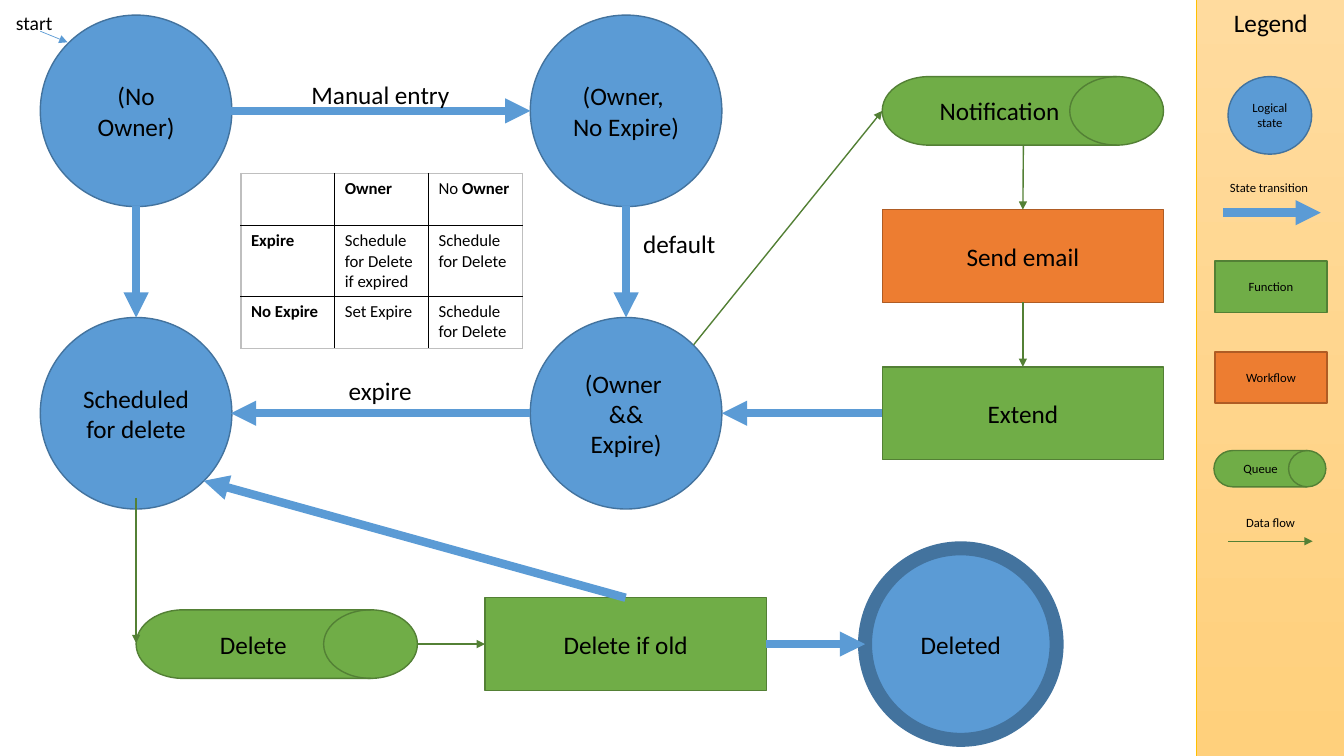
from lxml.etree import SubElement
from pptx import Presentation
from pptx.dml.color import RGBColor
from pptx.enum.shapes import MSO_CONNECTOR, MSO_SHAPE as SHAPE
from pptx.enum.text import MSO_ANCHOR as ANCHOR, MSO_AUTO_SIZE as AUTO_SIZE, PP_ALIGN as ALIGN
from pptx.oxml.ns import qn
from pptx.util import Emu, Pt

PX = 9144  # 100 px to the inch
COLORS = {
    "black": "000000", "grid": "BFBFBF", "blue": "5B9BD5", "blue_edge": "43739E",
    "green": "70AD47", "green_edge": "538035", "orange": "ED7D31", "orange_edge": "AF5C24",
    "panel_top": "FFDB9E", "panel_bottom": "FFD07C", "panel_edge": "FFC000",
}
# Kind of node: preset shape, colour
KINDS = {
    "state": (SHAPE.OVAL, "blue"),
    "function": (SHAPE.RECTANGLE, "green"),
    "workflow": (SHAPE.RECTANGLE, "orange"),
    "queue": (SHAPE.FLOWCHART_DIRECT_ACCESS_STORAGE, "green"),
}
# Kind of link: colour, width in points
LINKS = {"transition": ("blue", 6), "data": ("green_edge", 1), "start": ("blue", 0.5)}
TOP, LEFT, BOTTOM, RIGHT = range(4)
DIAMETER, BLOCK_W, BLOCK_H, QUEUE_H = 190, 279, 92, 68


def px(*lengths):
    return [Emu(length * PX) for length in lengths]


def color(name):
    return RGBColor.from_string(COLORS[name])


def style_span(span, size, bold=False):
    span.font.name = "Calibri"
    span.font.size = Pt(size)
    span.font.bold = bold
    span.font.color.rgb = color("black")


def add_node(page, kind, text, x, y, width, height, size=18, edge=1):
    preset, fill = KINDS[kind]
    node = page.shapes.add_shape(preset, *px(x, y, width, height))
    node.shadow.inherit = False
    node.fill.solid()
    node.fill.fore_color.rgb = color(fill)
    node.line.color.rgb = color(fill + "_edge")
    node.line.width = Pt(edge)
    frame = node.text_frame
    frame.text = text
    frame.word_wrap = True
    frame.vertical_anchor = ANCHOR.MIDDLE
    para = frame.paragraphs[0]
    para.alignment = ALIGN.CENTER
    for span in para.runs:
        style_span(span, size)
    return node


def add_label(page, text, x, y, width, height, size=18):
    box = page.shapes.add_textbox(*px(x, y, width, height))
    frame = box.text_frame
    frame.text = text
    frame.word_wrap = False
    frame.auto_size = AUTO_SIZE.SHAPE_TO_FIT_TEXT
    style_span(frame.paragraphs[0].runs[0], size)


def add_link(page, kind, x1, y1, x2, y2, begin=None, end=None):
    """Arrow between two points; begin and end are optional (block, side) joints."""
    name, width = LINKS[kind]
    link = page.shapes.add_connector(MSO_CONNECTOR.STRAIGHT, *px(x1, y1, x2, y2))
    if begin:
        link.begin_connect(*begin)
    if end:
        link.end_connect(*end)
    link.line.color.rgb = color(name)
    link.line.width = Pt(width)
    SubElement(link.line._get_or_add_ln(), qn("a:tailEnd"), type="triangle")
    SubElement(link._element.spPr, qn("a:effectLst"))


def add_border(cell, side, name):
    border = SubElement(cell._tc.get_or_add_tcPr(), qn("a:ln" + side), w=str(Pt(1)))
    fill = SubElement(border, qn("a:solidFill"))
    SubElement(fill, qn("a:srgbClr"), val=COLORS[name])


def add_rules_table(page, x, y, column_width, row_heights, rows):
    """Each cell is a list of (text, bold) pairs."""
    last_row, last_column = len(rows) - 1, len(rows[0]) - 1
    frame = page.shapes.add_table(last_row + 1, last_column + 1, *px(
        x, y, column_width * (last_column + 1), sum(row_heights)))
    table = frame.table
    table.first_row = table.horz_banding = False
    for column in table.columns:
        column.width = Emu(column_width * PX)
    for r, (row, height) in enumerate(zip(rows, row_heights)):
        table.rows[r].height = Emu(height * PX)
        for c, parts in enumerate(row):
            cell = table.cell(r, c)
            para = cell.text_frame.paragraphs[0]
            para.font.size = Pt(12)
            for text, bold in parts:
                span = para.add_run()
                span.text = text
                style_span(span, 12, bold)
            outer = {"L": c == 0, "R": c == last_column, "T": r == 0, "B": r == last_row}
            for side, is_outer in outer.items():
                add_border(cell, side, "grid" if is_outer else "black")
            cell.fill.background()


def add_legend(page):
    panel = page.shapes.add_shape(SHAPE.RECTANGLE, *px(1187, -1, 146, 751))
    panel.shadow.inherit = False
    panel.fill.gradient()
    panel.fill.gradient_angle = 270
    for stop, name, position in zip(panel.fill.gradient_stops, ("panel_top", "panel_bottom"), (0, 1)):
        stop.color.rgb = color(name)
        stop.position = position
    panel.line.color.rgb = color("panel_edge")
    panel.line.width = Pt(0.5)

    add_label(page, "Legend", 1214, 2, 94, 40)
    add_node(page, "state", "Logical state", 1218, 76, 83, 77, size=9)
    add_label(page, "State transition", 1210, 174, 99, 25, size=9)
    add_link(page, "transition", 1213, 211, 1310, 211)
    add_node(page, "function", "Function", 1205, 259, 111, 51, size=9)
    add_node(page, "workflow", "Workflow", 1205, 349, 111, 51, size=9)
    add_node(page, "queue", "Queue", 1204, 447, 111, 36, size=9)
    add_label(page, "Data flow", 1226, 506, 69, 25, size=9)
    add_link(page, "data", 1218, 537, 1302, 537)


def main():
    deck = Presentation()
    deck.slide_width, deck.slide_height = px(1333, 750)
    page = deck.slides.add_slide(deck.slide_layouts[6])

    # Logical states
    for text, x, y, edge in [
        ("(No Owner)", 40, 15, 1),
        ("Scheduled for delete", 40, 315, 1),
        ("(Owner, \vNo Expire)", 526, 15, 1),
        ("(Owner \v&&\vExpire)", 526, 315, 1),
        ("Deleted", 858, 544, 10),
    ]:
        add_node(page, "state", text, x, y, DIAMETER, DIAMETER, edge=edge)

    # Queues, functions and workflow
    add_node(page, "queue", "Notification", 875, 76, BLOCK_W, QUEUE_H)
    add_node(page, "queue", "Delete", 135, 605, BLOCK_W, QUEUE_H)
    send = add_node(page, "workflow", "Send email", 875, 208, BLOCK_W, BLOCK_H)
    extend = add_node(page, "function", "Extend", 875, 364, BLOCK_W, BLOCK_H)
    delete_old = add_node(page, "function", "Delete if old", 481, 593, BLOCK_W, BLOCK_H)

    # State transitions
    add_link(page, "transition", 135, 204, 135, 315)
    add_link(page, "transition", 229, 110, 526, 110)
    add_link(page, "transition", 621, 204, 621, 315)
    add_link(page, "transition", 526, 410, 229, 410)
    add_link(page, "transition", 875, 410, 716, 410, begin=(extend, LEFT))
    add_link(page, "transition", 621, 593, 202, 477, begin=(delete_old, TOP))
    add_link(page, "transition", 760, 639, 858, 639, begin=(delete_old, RIGHT))
    add_link(page, "start", 40, 31, 67, 42)

    # Data flow
    add_link(page, "data", 688, 342, 875, 110)
    add_link(page, "data", 1015, 144, 1015, 208, end=(send, TOP))
    add_link(page, "data", 1015, 300, 1015, 364, begin=(send, BOTTOM), end=(extend, TOP))
    add_link(page, "data", 135, 494, 135, 638)
    add_link(page, "data", 414, 639, 481, 639, end=(delete_old, LEFT))

    # Link labels
    add_label(page, "Manual entry", 299, 74, 159, 40)
    add_label(page, "expire", 336, 367, 83, 40)
    add_label(page, "default", 628, 222, 93, 40)
    add_label(page, "start", 6, 6, 57, 34, size=14)

    # Rules by owner and expiry
    schedule = [("Schedule for Delete", False)]
    add_rules_table(page, 239, 172, 93, [52, 62, 52], [
        [[], [("Owner", True)], [("No ", False), ("Owner", True)]],
        [[("Expire", True)], [("Schedule for Delete if expired", False)], schedule],
        [[("No Expire", True)], [("Set Expire", False)], schedule],
    ])

    add_legend(page)
    deck.save("out.pptx")


if __name__ == "__main__":
    main()
